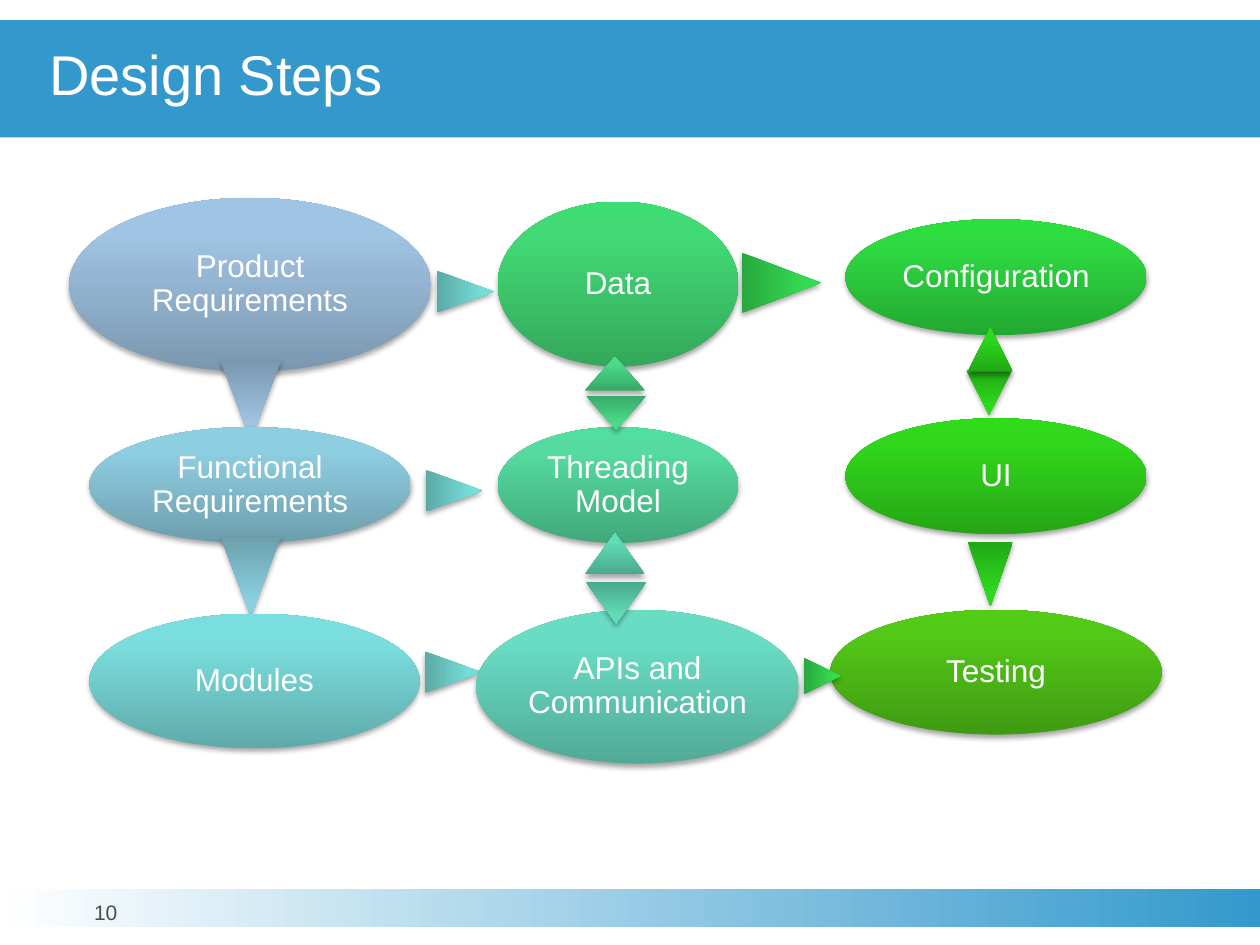
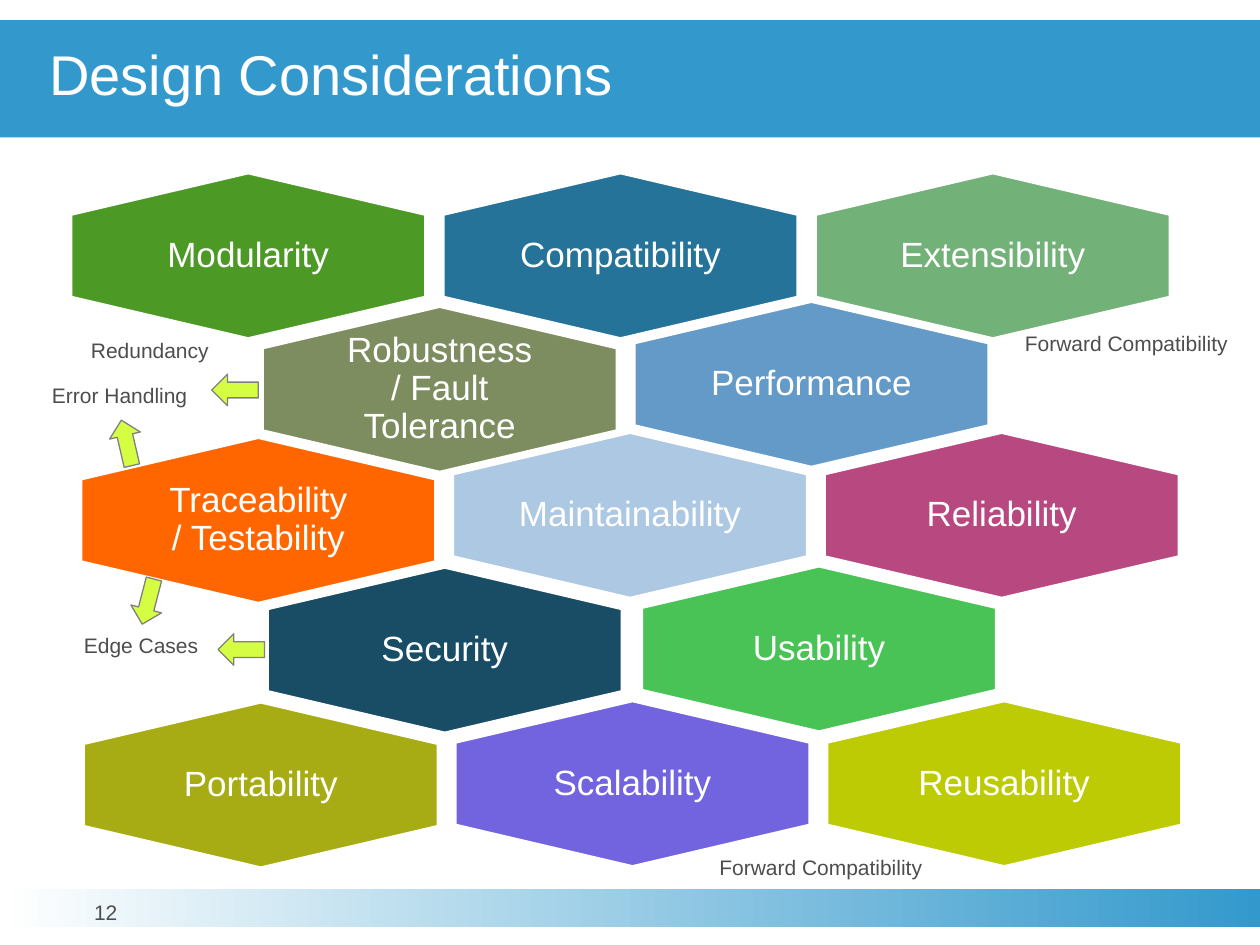
from dataclasses import dataclass

from pptx import Presentation
from pptx.dml.color import RGBColor
from pptx.enum.shapes import MSO_SHAPE
from pptx.enum.text import MSO_ANCHOR, PP_ALIGN
from pptx.oxml import parse_xml
from pptx.oxml.ns import nsdecls, qn
from pptx.util import Inches, Pt

OVAL = MSO_SHAPE.OVAL
TRIANGLE = MSO_SHAPE.ISOSCELES_TRIANGLE
RECTANGLE = MSO_SHAPE.RECTANGLE
RIGHT_ARROW = MSO_SHAPE.RIGHT_ARROW
CENTER, LEFT = PP_ALIGN.CENTER, PP_ALIGN.LEFT
MIDDLE, TOP = MSO_ANCHOR.MIDDLE, MSO_ANCHOR.TOP
TITLE_ONLY = 5


@dataclass(frozen=True)
class Theme:
    font: str = "Arial"
    band: str = "3399CC"
    white: str = "FFFFFF"
    body: str = "4D4D4D"
    arrow: str = "D5FD41"
    arrow_edge: str = "808080"
    title_size: int = 32
    quality_size: int = 20
    step_size: int = 18
    small_size: int = 12


THEME = Theme()

# Gradient ramps, dark to light: colours at 0, 80 and 100 percent
STEEL = ("7B97AF", "A0C4E3", "9FC5E5")
SKY = ("6D9EAD", "8ECEE1", "8DD0E3")
SKY_POINTER = ("6BA0AC", "8BCFE0", "8AD1E3")
AQUA = ("5FABAB", "7BDEDE", "7AE1E1")
AQUA_POINTER = ("5BAAA6", "76DDD8", "74E0DB")
TEAL = ("51AA97", "69DDC4", "67E0C6")
TEAL_POINTER = ("4AA98C", "60DCB6", "5EDFB8")
MINT = ("42A97B", "55DBA0", "53DEA1")
MINT_POINTER = ("39A969", "4ADB88", "48DF88")
EMERALD = ("33A85A", "42DA75", "3FDE75")
EMERALD_POINTER = ("28A83E", "34DA51", "31DE4F")
GREEN = ("23A832", "2EDB41", "2BDF3F")
GREEN_POINTER = ("22A816", "2CDA1D", "29DE19")
VIVID = ("26A615", "31D71C", "2FDC18")
LEAF = ("409A12", "52C817", "52CC14")


@dataclass(frozen=True)
class Step:
    text: str
    left: float
    top: float
    width: float
    height: float
    ramp: tuple


@dataclass(frozen=True)
class Pointer:
    left: float
    top: float
    width: float
    height: float
    rotation: int
    ramp: tuple


@dataclass(frozen=True)
class Quality:
    text: str
    color: str
    inset: float = 0.47


@dataclass(frozen=True)
class HexRow:
    left: float
    top: float
    pitch: float
    first_drop: float
    qualities: tuple


@dataclass(frozen=True)
class Label:
    text: str
    left: float
    top: float
    width: float = 1.36


@dataclass(frozen=True)
class Arrow:
    left: float
    top: float
    rotation: float


# Steps and pointers from back to front
DESIGN_STEPS = (
    Step("Product Requirements", 0.55, 1.57, 2.87, 1.38, STEEL),
    Pointer(1.75, 2.86, 0.48, 0.63, 180, STEEL),
    Step("Functional Requirements", 0.71, 3.39, 2.55, 0.92, SKY),
    Pointer(1.75, 4.26, 0.48, 0.63, 180, SKY_POINTER),
    Step("Modules", 0.71, 4.87, 2.62, 1.07, AQUA),
    Pointer(3.43, 5.11, 0.33, 0.45, 90, AQUA_POINTER),
    Step("APIs and Communication", 3.78, 4.84, 2.56, 1.22, TEAL),
    Step("Threading Model", 3.95, 3.39, 1.91, 0.92, MINT),
    Step("Data", 3.95, 1.6, 1.91, 1.31, EMERALD),
    Pointer(5.96, 1.93, 0.48, 0.63, 90, EMERALD_POINTER),
    Step("Configuration", 6.71, 1.74, 2.39, 0.92, GREEN),
    Pointer(7.67, 2.94, 0.36, 0.35, 180, GREEN_POINTER),
    Step("UI", 6.71, 3.32, 2.39, 0.92, VIVID),
    Step("Testing", 6.59, 4.84, 2.63, 0.99, LEAF),
    Pointer(4.64, 2.83, 0.48, 0.27, 0, MINT_POINTER),
    Pointer(4.64, 4.23, 0.48, 0.33, 0, TEAL_POINTER),
    Pointer(7.68, 4.3, 0.36, 0.51, 180, GREEN_POINTER),
    Pointer(7.68, 2.6, 0.36, 0.35, 0, GREEN_POINTER),
    Pointer(6.38, 5.22, 0.29, 0.29, 90, EMERALD_POINTER),
    Pointer(4.65, 3.14, 0.48, 0.27, 180, MINT_POINTER),
    Pointer(4.65, 4.62, 0.48, 0.33, 180, TEAL_POINTER),
    Pointer(3.44, 3.67, 0.33, 0.45, 90, AQUA_POINTER),
    Pointer(3.53, 2.09, 0.33, 0.45, 90, AQUA_POINTER),
)

# Honeycomb of qualities, row by row
HEX_WIDTH, HEX_HEIGHT = 2.82, 1.32
HEX_ROWS = (
    HexRow(0.56, 1.37, 2.955, 0, (
        Quality("Modularity", "4D9926"),
        Quality("Compatibility", "267399"),
        Quality("Extensibility", "72B178"))),
    HexRow(2.08, 2.39, 2.95, 0.04, (
        Quality("Robustness\v/ Fault Tolerance", "7D8D60", 0.66),
        Quality("Performance", "639AC8"))),
    HexRow(0.64, 3.43, 2.95, 0.04, (
        Quality("Traceability / Testability", "FF6600", 0.66),
        Quality("Maintainability", "ADC8E2"),
        Quality("Reliability", "B84880"))),
    HexRow(2.12, 4.49, 2.97, 0.01, (
        Quality("Security", "194D66"),
        Quality("Usability", "49C355"))),
    HexRow(0.66, 5.56, 2.95, 0.01, (
        Quality("Portability", "A8AC14"),
        Quality("Scalability", "7263DF"),
        Quality("Reusability", "BDCB05"))),
)

SIDE_NOTES = (
    Label("Error Handling", 0.27, 2.99),
    Label("Redundancy", 0.51, 2.63),
    Label("Edge Cases", 0.44, 4.97),
    Label("Forward Compatibility", 5.37, 6.73, 2.29),
    Label("Forward Compatibility", 7.88, 2.57, 2.12),
)
NOTE_ARROWS = (
    Arrow(1.68, 2.97, 180),
    Arrow(0.82, 3.39, 257),
    Arrow(0.99, 4.65, 104.5),
    Arrow(1.73, 5.03, 180),
)


def box(left: float, top: float, width: float, height: float) -> tuple:
    return Inches(left), Inches(top), Inches(width), Inches(height)


def set_text(shape, text: str, size: int, color: str, align=CENTER,
             anchor=MIDDLE, spacing=0.9, insets=(0, 0, 0, 0)) -> None:
    """Write text; insets run left, top, right, bottom in inches."""
    frame = shape.text_frame
    frame.text = text
    frame.word_wrap = True
    frame.vertical_anchor = anchor
    (frame.margin_left, frame.margin_top,
     frame.margin_right, frame.margin_bottom) = map(Inches, insets)
    for paragraph in frame.paragraphs:
        paragraph.alignment = align
        paragraph.line_spacing = spacing
        for run in paragraph.runs:
            run.font.name = THEME.font
            run.font.size = Pt(size)
            run.font.color.rgb = RGBColor.from_string(color)


def fill_solid(shape, color: str) -> None:
    shape.fill.solid()
    shape.fill.fore_color.rgb = RGBColor.from_string(color)


def fill_gradient(shape, stops: tuple, angle: int) -> None:
    """Fill with (percent, colour) stops along a clockwise angle."""
    shape.line.fill.background()
    shape.shadow.inherit = False
    stop_xml = "".join(
        f'<a:gs pos="{percent * 1000}"><a:srgbClr val="{color}"/></a:gs>'
        for percent, color in stops)
    gradient = parse_xml(
        f'<a:gradFill {nsdecls("a")} rotWithShape="1"><a:gsLst>{stop_xml}</a:gsLst>'
        f'<a:lin ang="{angle * 60000}" scaled="0"/></a:gradFill>')
    shape._element.spPr.find(qn("a:prstGeom")).addnext(gradient)


def add_soft_shadow(shape) -> None:
    effects = shape._element.spPr.find(qn("a:effectLst"))
    effects.append(parse_xml(
        f'<a:outerShdw {nsdecls("a")} blurRad="{Pt(3.1)}" dist="{Pt(1.8)}" '
        'dir="5400000" rotWithShape="0"><a:srgbClr val="000000">'
        '<a:alpha val="35000"/></a:srgbClr></a:outerShdw>'))


def add_glossy(slide, part, kind):
    shape = slide.shapes.add_shape(
        kind, *box(part.left, part.top, part.width, part.height))
    fill_gradient(shape, tuple(zip((0, 80, 100), part.ramp)), 270)
    add_soft_shadow(shape)
    return shape


def add_step(slide, step: Step) -> None:
    oval = add_glossy(slide, step, OVAL)
    set_text(oval, step.text, THEME.step_size, THEME.white)


def add_pointer(slide, pointer: Pointer) -> None:
    add_glossy(slide, pointer, TRIANGLE).rotation = pointer.rotation


def add_hexagon(slide, left: float, top: float, quality: Quality) -> None:
    right, middle = left + HEX_WIDTH, left + HEX_WIDTH / 2
    shoulder, foot = top + HEX_HEIGHT / 4, top + HEX_HEIGHT * 3 / 4
    corners = ((right, shoulder), (right, foot), (middle, top + HEX_HEIGHT),
               (left, foot), (left, shoulder))
    outline = slide.shapes.build_freeform(Inches(middle), Inches(top))
    outline.add_line_segments([(Inches(x), Inches(y)) for x, y in corners])
    hexagon = outline.convert_to_shape()
    hexagon.shadow.inherit = False
    fill_solid(hexagon, quality.color)
    hexagon.line.color.rgb = RGBColor.from_string(THEME.white)
    hexagon.line.width = Pt(2)
    set_text(hexagon, quality.text, THEME.quality_size, THEME.white,
             insets=(quality.inset, 0, quality.inset, 0))


def add_label(slide, label: Label) -> None:
    note = slide.shapes.add_textbox(*box(label.left, label.top, label.width, 0.3))
    set_text(note, label.text, THEME.small_size, THEME.body, spacing=1.0,
             insets=(0.1, 0.05, 0.1, 0.05))


def add_arrow(slide, arrow: Arrow) -> None:
    shape = slide.shapes.add_shape(RIGHT_ARROW, *box(arrow.left, arrow.top, 0.37, 0.25))
    shape.rotation = arrow.rotation
    shape.shadow.inherit = False
    fill_solid(shape, THEME.arrow)
    shape.line.color.rgb = RGBColor.from_string(THEME.arrow_edge)
    shape.line.width = Pt(0.75)


def add_framed_slide(deck, title: str, number: int):
    """Add a slide with its title band, footer band and page number."""
    slide = deck.slides.add_slide(deck.slide_layouts[TITLE_ONLY])
    heading = slide.shapes.title
    heading.left, heading.top, heading.width, heading.height = box(0, 0.16, 10, 0.93)
    fill_solid(heading, THEME.band)
    set_text(heading, title, THEME.title_size, THEME.white, LEFT,
             spacing=0.85, insets=(0.39, 0, 0, 0))
    footer = slide.shapes.add_shape(RECTANGLE, *box(0, 7.06, 10, 0.3))
    fill_gradient(footer, ((0, THEME.white), (100, THEME.band)), 0)
    page = slide.shapes.add_textbox(*box(0.31, 7.16, 1.06, 0.31))
    set_text(page, str(number), THEME.small_size, THEME.body,
             anchor=TOP, spacing=Pt(13))
    return slide


deck = Presentation()
deck.slide_width, deck.slide_height = Inches(10), Inches(7.5)

# Design steps
steps_slide = add_framed_slide(deck, "Design Steps", 10)
for part in DESIGN_STEPS:
    if isinstance(part, Step):
        add_step(steps_slide, part)
    else:
        add_pointer(steps_slide, part)

# Design considerations
qualities_slide = add_framed_slide(deck, "Design Considerations", 12)
for row in HEX_ROWS:
    for column, quality in enumerate(row.qualities):
        drop = row.first_drop if column == 0 else 0
        add_hexagon(qualities_slide, row.left + column * row.pitch,
                    row.top + drop, quality)
for label in SIDE_NOTES:
    add_label(qualities_slide, label)
for arrow in NOTE_ARROWS:
    add_arrow(qualities_slide, arrow)

deck.save("out.pptx")
